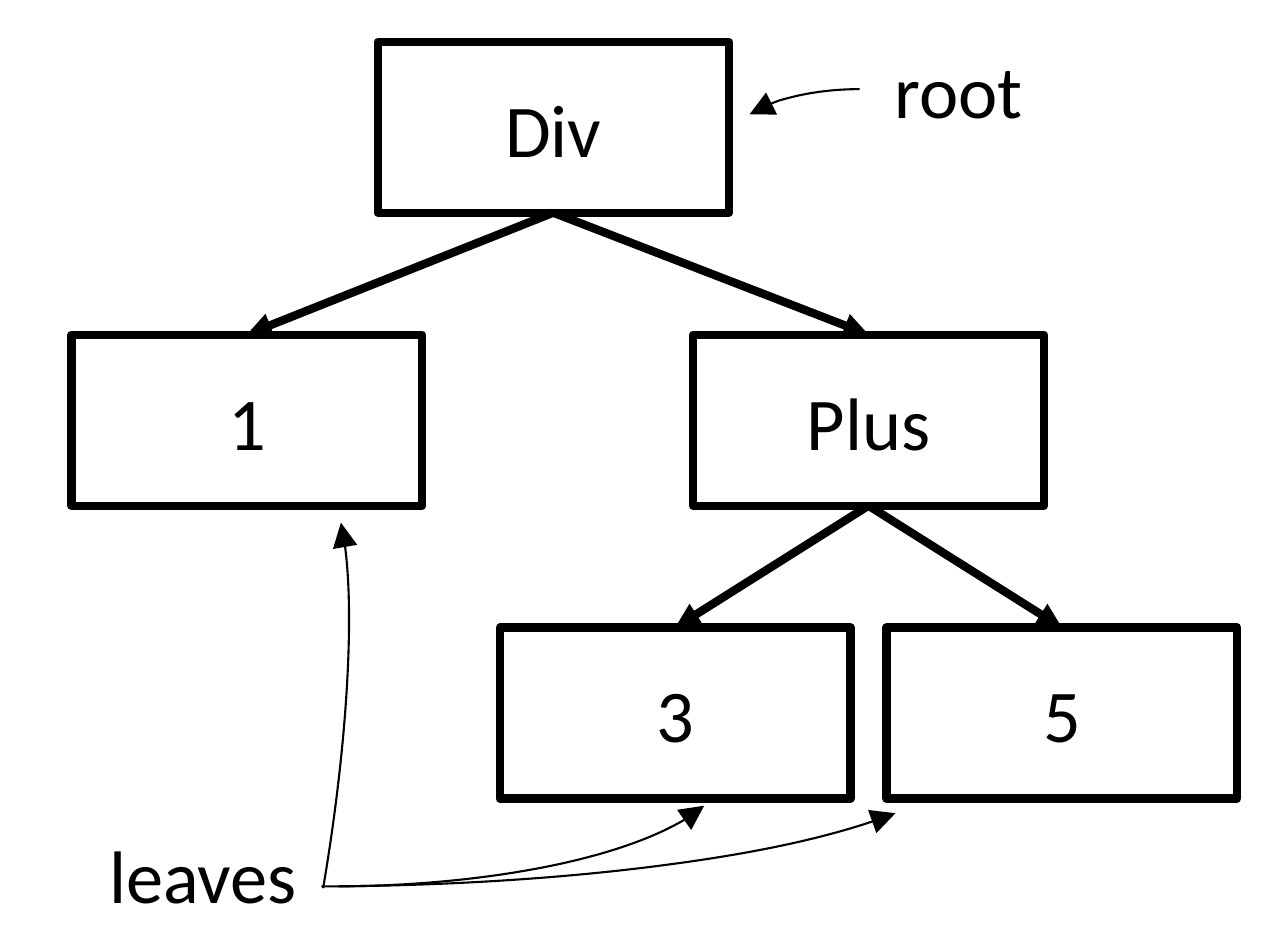
from lxml import etree
from pptx import Presentation
from pptx import util as u
from pptx.dml.color import RGBColor
from pptx.enum import shapes, text
from pptx.oxml import ns

BLACK = RGBColor(0, 0, 0)
WHITE = RGBColor(255, 255, 255)
FONT = "Calibri"
TEXT_SIZE = 18
TREE_LINE, NOTE_LINE = 2, 0.5

# Grid: square cells, ten to the inch
CELL = u.Inches(0.1)
COLUMNS, ROWS = 43.3, 31.5
NODE_WIDTH, NODE_HEIGHT = 11.8, 5.75
FIRST_LEVEL, LEVEL_STEP = 1.4, 9.85

# Tree nodes: label -> (centre column, level)
NODES = {"Div": (18.6, 0), "1": (8.3, 1), "Plus": (29.2, 1),
         "3": (22.7, 2), "5": (35.7, 2)}
EDGES = [("Div", "1"), ("Div", "Plus"), ("Plus", "3"), ("Plus", "5")]

# Labels: text, (left, top, width, height), wrap
LABELS = [("leaves", (2.7, 27.4, 8.4, 4), False),
          ("root", (29.1, 1, 6.7, 4), True)]

# Curved arrows: (left, top, width, height), rotation, flip, end adjustment
# The first two start at the quadrant, the others slightly after it
CURVES = [((24.5, 3, 8.8, 3.7), 180, "flipV", 162, 206.95),
          ((-4.9, 27, 26.7, 4.9), 99.6, "flipH", 162, 213.22),
          ((-11.8, 20.4, 44.6, 9.4), 180, "flipH", 164.28, 212.09),
          ((-2.3, 21.5, 26.8, 8.3), 180, "flipH", 164.28, 212.09)]


def cells(*lengths):
    return [round(length * CELL) for length in lengths]


def style_line(line, width):
    line.color.rgb = BLACK
    line.width = u.Pt(width)


def add_arrowhead(shape):
    line = shape.line._get_or_add_ln()
    etree.SubElement(line, ns.qn("a:tailEnd"), type="triangle")


def write(shape, words, alignment):
    paragraph = shape.text_frame.paragraphs[0]
    paragraph.text = words
    paragraph.alignment = alignment
    paragraph.font.name = FONT
    paragraph.font.size = u.Pt(TEXT_SIZE)
    paragraph.font.color.rgb = BLACK


def add_node(slide, label, centre, level):
    left, top = centre - NODE_WIDTH / 2, FIRST_LEVEL + level * LEVEL_STEP
    shape = slide.shapes.add_shape(
        shapes.MSO_SHAPE.RECTANGLE, *cells(left, top, NODE_WIDTH, NODE_HEIGHT))
    shape.shadow.inherit = False
    shape.fill.background()
    style_line(shape.line, TREE_LINE)
    shape.text_frame.vertical_anchor = text.MSO_ANCHOR.MIDDLE
    write(shape, label, text.PP_ALIGN.CENTER)
    return shape


def add_edge(slide, parent, child):
    edge = slide.shapes.add_connector(shapes.MSO_CONNECTOR.STRAIGHT, 0, 0, 0, 0)
    edge.begin_connect(parent, 2)
    edge.end_connect(child, 0)
    style_line(edge.line, TREE_LINE)
    add_arrowhead(edge)
    etree.SubElement(edge._element.spPr, ns.qn("a:effectLst"))


def add_label(slide, words, box, wrap):
    label = slide.shapes.add_textbox(*cells(*box))
    label.text_frame.word_wrap = wrap
    label.text_frame.auto_size = text.MSO_AUTO_SIZE.SHAPE_TO_FIT_TEXT
    write(label, words, text.PP_ALIGN.LEFT)


def add_curve(slide, box, rotation, flip, start, end):
    curve = slide.shapes.add_shape(shapes.MSO_SHAPE.ARC, *cells(*box))
    curve.shadow.inherit = False
    curve.fill.background()
    curve.rotation = rotation
    curve._element.spPr.xfrm.set(flip, "1")
    curve.adjustments[0] = start
    curve.adjustments[1] = end
    style_line(curve.line, NOTE_LINE)
    add_arrowhead(curve)


def main():
    presentation = Presentation()
    presentation.slide_width, presentation.slide_height = cells(COLUMNS, ROWS)
    slide = presentation.slides.add_slide(presentation.slide_layouts[6])
    slide.background.fill.solid()
    slide.background.fill.fore_color.rgb = WHITE

    # Tree
    nodes = {label: add_node(slide, label, *place)
             for label, place in NODES.items()}
    for parent, child in EDGES:
        add_edge(slide, nodes[parent], nodes[child])

    # Labels and their curved arrows
    for label in LABELS:
        add_label(slide, *label)
    for curve in CURVES:
        add_curve(slide, *curve)

    presentation.save("out.pptx")


if __name__ == "__main__":
    main()
